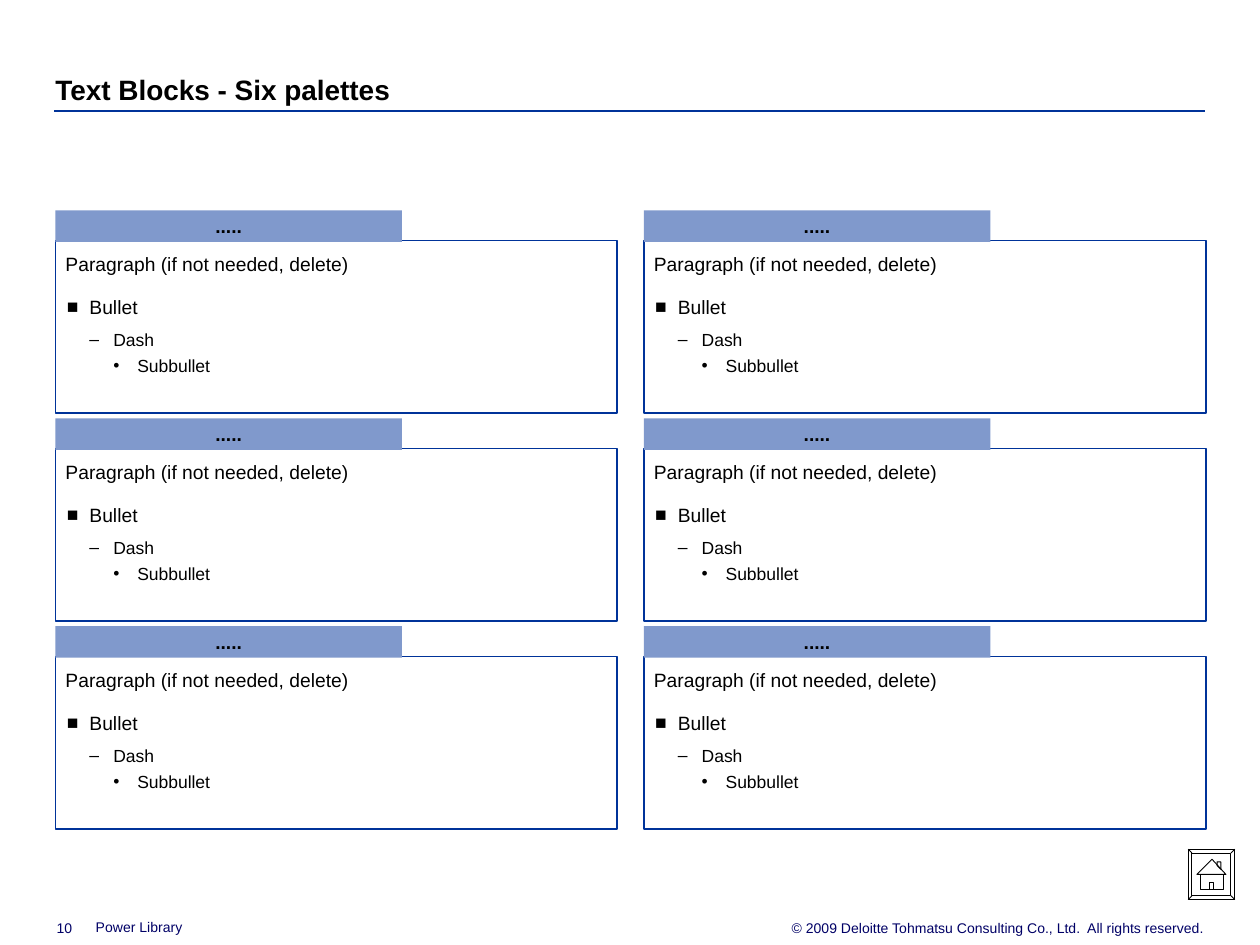
"""Build the "Text Blocks - Six palettes" slide."""
from lxml.etree import SubElement
from pptx import Presentation
from pptx.dml.color import RGBColor
from pptx.enum.shapes import MSO_CONNECTOR, MSO_SHAPE
from pptx.enum.text import MSO_ANCHOR, MSO_AUTO_SIZE, PP_ALIGN
from pptx.oxml.ns import qn
from pptx.util import Inches, Pt

COLORS = {"line": "003399", "label": "8099CC", "panel": "FFFFFF", "text": "000000", "footer": "000066"}
TITLE = "Text Blocks - Six palettes"
LABEL = "....."
BODY = [
    {"text": "Paragraph (if not needed, delete)", "size": 11, "spacing": 1.06},
    {"text": "Bullet", "size": 11, "spacing": 1.06, "before": 11, "level": 1, "bullet": "■", "indent": (0.19, -0.18)},
    {"text": "Dash", "size": 10, "spacing": 1.06, "before": 5, "level": 2, "bullet": "–", "indent": (0.38, -0.19)},
    {"text": "Subbullet", "size": 10, "spacing": 1.06, "before": 2.5, "level": 3, "bullet": "•", "indent": (0.57, -0.19)},
]
FOOTERS = [
    ("© 2009 Deloitte Tohmatsu Consulting Co., Ltd.  All rights reserved.",
     (5.76, 7.3, 3.8, 0.13), PP_ALIGN.RIGHT, MSO_ANCHOR.TOP),
    ("Power Library", (0.76, 7.29, 4.42, 0.13), PP_ALIGN.LEFT, MSO_ANCHOR.BOTTOM),
    ("10", (0.45, 7.3, 0.32, 0.13), PP_ALIGN.LEFT, MSO_ANCHOR.BOTTOM),
]
LEFT, TOP, COLUMN_STEP, ROW_STEP = 0.44, 1.67, 4.67, 1.65
COLUMNS, ROWS = 2, 3
LABEL_SIZE, PANEL_SIZE, PANEL_OFFSET = (2.75, 0.25), (4.46, 1.37), 0.24

HOME_UNIT = Inches(0.01)
OUTER = [(943, 674), (980, 674), (980, 714), (943, 714)]
INNER = [(946, 677), (977, 677), (977, 711), (946, 711)]
HOME_OUTLINES = [
    OUTER,
    INNER,
    *zip(OUTER, INNER),
    [(962, 682), (973, 694), (950, 694)],
    [(953, 694), (971, 694), (971, 706), (953, 706)],
    [(966, 687), (966, 684), (969, 684), (969, 690)],
    [(960, 706), (960, 700), (963, 700), (963, 706)],
]


def color(name):
    return RGBColor.from_string(COLORS[name])


def add_bullet(paragraph, character, indent):
    properties = paragraph._p.get_or_add_pPr()
    margin, first_line = indent
    properties.set("marL", str(Inches(margin)))
    properties.set("indent", str(Inches(first_line)))
    bullet_color = SubElement(properties, qn("a:buClr"))
    SubElement(bullet_color, qn("a:srgbClr"), val=COLORS["text"])
    SubElement(properties, qn("a:buFont"), typeface="Arial")
    SubElement(properties, qn("a:buChar"), char=character)


def write(shape, items, inset=0, anchor=MSO_ANCHOR.TOP, align=PP_ALIGN.LEFT, bold=False, ink="text"):
    frame = shape.text_frame
    frame_format = {"word_wrap": True, "auto_size": MSO_AUTO_SIZE.NONE, "vertical_anchor": anchor}
    for side in ("left", "top", "right", "bottom"):
        frame_format[f"margin_{side}"] = Inches(inset)
    for name, value in frame_format.items():
        setattr(frame, name, value)
    for index, item in enumerate(items):
        paragraph = frame.add_paragraph() if index else frame.paragraphs[0]
        if "bullet" in item:
            add_bullet(paragraph, item["bullet"], item["indent"])
        paragraph_format = {
            "alignment": align,
            "level": item.get("level", 0),
            "line_spacing": item.get("spacing", 1.0),
            "space_before": Pt(item.get("before", 0)),
        }
        for name, value in paragraph_format.items():
            setattr(paragraph, name, value)
        run = paragraph.add_run()
        run.text = item["text"]
        for name, value in {"name": "Arial", "size": Pt(item["size"]), "bold": bold}.items():
            setattr(run.font, name, value)
        run.font.color.rgb = color(ink)


def add_box(slide, left, top, size, fill, outlined=False):
    box = slide.shapes.add_shape(MSO_SHAPE.RECTANGLE, *map(Inches, (left, top, *size)))
    box.shadow.inherit = False
    box.fill.solid()
    box.fill.fore_color.rgb = color(fill)
    if outlined:
        box.line.color.rgb = color("line")
        box.line.width = Pt(1)
    else:
        box.line.fill.background()
    return box


def add_home_icon(slide):
    builder = slide.shapes.build_freeform(*OUTER[0], scale=HOME_UNIT)
    for index, (start, *others) in enumerate(HOME_OUTLINES):
        if index:
            builder.move_to(*start)
        builder.add_line_segments(others, close=len(others) > 1)
    icon = builder.convert_to_shape()
    icon.shadow.inherit = False
    icon.fill.background()
    icon.line.color.rgb = color("text")
    icon.line.width = Pt(0.5)


def add_header(slide):
    title = slide.shapes.title
    for name, value in zip(("left", "top", "width", "height"), (0.44, 0.56, 9.13, 0.28)):
        setattr(title, name, Inches(value))
    write(title, [{"text": TITLE, "size": 16, "spacing": 1.06}], anchor=MSO_ANCHOR.BOTTOM, bold=True)
    rule = slide.shapes.add_connector(MSO_CONNECTOR.STRAIGHT, *map(Inches, (0.43, 0.88, 9.56, 0.88)))
    rule.line.color.rgb = color("line")
    rule.line.width = Pt(1.5)
    SubElement(rule._element.spPr, qn("a:effectLst"))


def add_text_block(slide, left, top):
    panel = add_box(slide, left, top + PANEL_OFFSET, PANEL_SIZE, "panel", outlined=True)
    write(panel, BODY, inset=0.08)
    label = add_box(slide, left, top, LABEL_SIZE, "label")
    write(label, [{"text": LABEL, "size": 11}], inset=0.1, anchor=MSO_ANCHOR.MIDDLE,
          align=PP_ALIGN.CENTER, bold=True)


def main():
    presentation = Presentation()
    presentation.slide_width, presentation.slide_height = Inches(10), Inches(7.5)
    slide = presentation.slides.add_slide(presentation.slide_layouts[5])
    add_header(slide)
    for text, bounds, align, anchor in FOOTERS:
        footer = slide.shapes.add_textbox(*map(Inches, bounds))
        write(footer, [{"text": text, "size": 8}], anchor=anchor, align=align, ink="footer")
    add_home_icon(slide)
    for column in range(COLUMNS):
        for row in range(ROWS):
            add_text_block(slide, LEFT + column * COLUMN_STEP, TOP + row * ROW_STEP)
    presentation.save("out.pptx")


if __name__ == "__main__":
    main()
